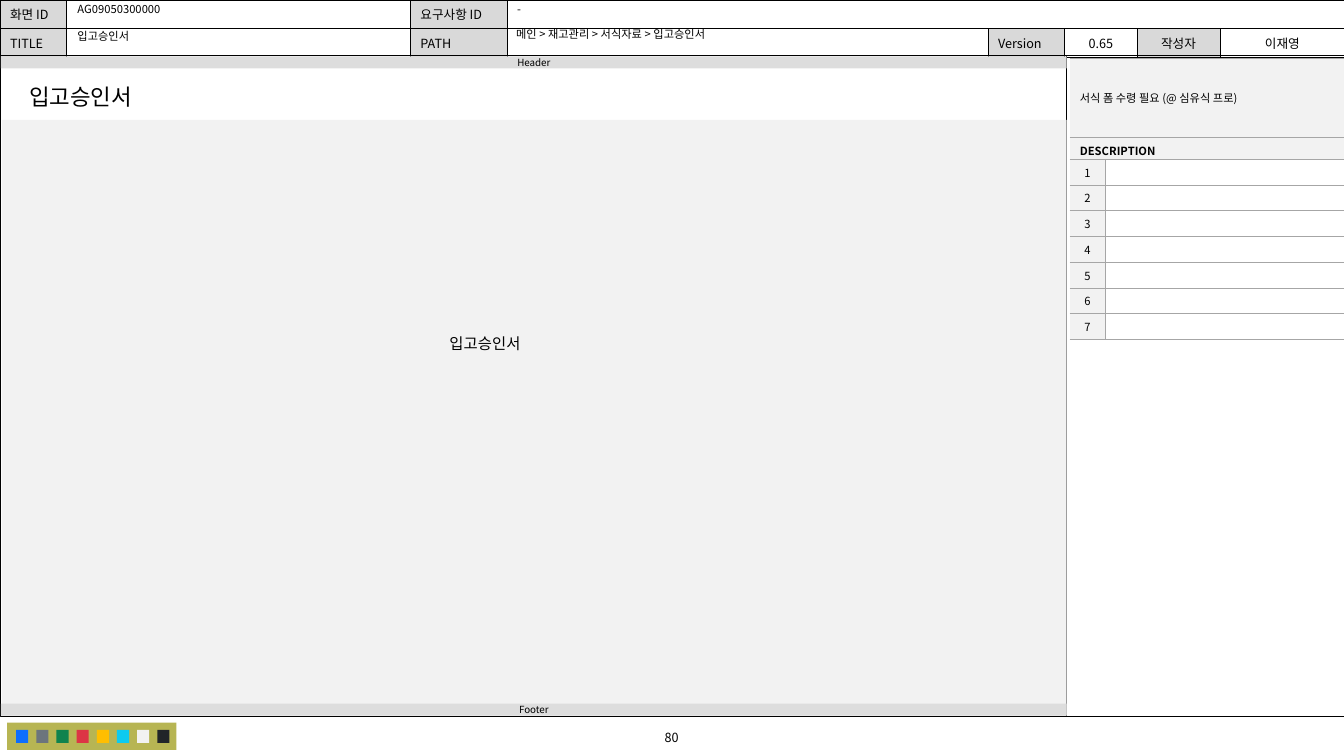
from lxml import etree
from pptx import Presentation
from pptx.dml.color import RGBColor
from pptx.enum.shapes import MSO_CONNECTOR, MSO_SHAPE
from pptx.enum.text import MSO_ANCHOR, PP_ALIGN
from pptx.oxml.ns import qn
from pptx.util import Inches, Pt

LEFT, CENTER = PP_ALIGN.LEFT, PP_ALIGN.CENTER
TOP, MIDDLE = MSO_ANCHOR.TOP, MSO_ANCHOR.MIDDLE
RECT, STRAIGHT = MSO_SHAPE.RECTANGLE, MSO_CONNECTOR.STRAIGHT
FONT = "Noto Sans CJK KR"
COLORS = {
    "black": "000000", "white": "FFFFFF", "label": "D9D9D9", "bar": "DDDDDD",
    "panel": "F2F2F2", "rule": "A6A6A6", "palette": "B7B553",
}
SWATCHES = ["0D6EFD", "6C757D", "10834E", "DC3545", "FFBE00", "0DCAF0", "F2F2F2", "212529"]
INSETS = (0.1, 0.05, 0.1, 0.05)
NO_INSETS = (0, 0, 0, 0)


class Wireframe:
    """Draws styled elements of a screen specification on one slide."""

    def __init__(self, slide):
        self.shapes = slide.shapes

    def color(self, name):
        return RGBColor.from_string(COLORS.get(name, name))

    def add_text(self, tf, text, size, align=LEFT, bold=False):
        p = tf.paragraphs[0]
        p.alignment = align
        r = p.add_run()
        r.text = text
        r.font.size = Pt(size)
        r.font.name = FONT
        r.font.bold = bold
        r.font.color.rgb = self.color("black")
        etree.SubElement(r.font._element, qn("a:ea"), typeface=FONT)
        return p

    def margins(self, target, insets):
        (target.margin_left, target.margin_top,
         target.margin_right, target.margin_bottom) = map(Inches, insets)

    def rect(self, x, y, w, h, fill=None, line=None, text=None):
        sp = self.shapes.add_shape(RECT, *map(Inches, (x, y, w, h)))
        sp.shadow.inherit = False
        if fill:
            sp.fill.solid()
            sp.fill.fore_color.rgb = self.color(fill)
        else:
            sp.fill.background()
        if line:
            sp.line.color.rgb = self.color(line)
            sp.line.width = Pt(0.25)
        else:
            sp.line.fill.background()
        if text:
            tf = sp.text_frame
            self.margins(tf, NO_INSETS)
            tf.vertical_anchor = MIDDLE
            self.add_text(tf, text, 7, CENTER)

    def text(self, x, y, w, h, text, size, align=LEFT, wrap=True, insets=INSETS, spacing=None):
        tf = self.shapes.add_textbox(*map(Inches, (x, y, w, h))).text_frame
        tf.word_wrap = wrap
        self.margins(tf, insets)
        p = self.add_text(tf, text, size, align)
        if spacing:
            p.line_spacing = spacing

    def line(self, x1, y1, x2, y2):
        cn = self.shapes.add_connector(STRAIGHT, *map(Inches, (x1, y1, x2, y2)))
        cn.line.color.rgb = self.color("black")
        cn.line.width = Pt(0.5)
        etree.SubElement(cn._element.spPr, qn("a:effectLst"))

    def table(self, x, y, cols, rows):
        frame = self.shapes.add_table(
            len(rows), len(cols), *map(Inches, (x, y, sum(cols), sum(rows))))
        tbl = frame.table
        tbl.first_row = tbl.horz_banding = False
        for col, width in zip(tbl.columns, cols):
            col.width = Inches(width)
        for row, height in zip(tbl.rows, rows):
            row.height = Inches(height)
        return tbl

    def cell(self, cell, text, size, fill, border, sides="LRTB",
             align=LEFT, anchor=TOP, insets=INSETS, bold=False):
        self.margins(cell, insets)
        cell.vertical_anchor = anchor
        tcPr = cell._tc.get_or_add_tcPr()
        for side in "LRTB":
            ln = etree.SubElement(tcPr, qn(f"a:ln{side}"), w=str(Pt(0.5)))
            if side in sides:
                solid = etree.SubElement(ln, qn("a:solidFill"))
                etree.SubElement(solid, qn("a:srgbClr"), val=COLORS[border])
            else:
                etree.SubElement(ln, qn("a:noFill"))
        cell.fill.solid()
        cell.fill.fore_color.rgb = self.color(fill)
        if text:
            self.add_text(cell.text_frame, text, size, align, bold)
        else:
            p = cell.text_frame.paragraphs[0]
            etree.SubElement(p._p, qn("a:endParaRPr"), sz=str(size * 100))


def add_info_table(s):
    """Add the screen information table at the top."""
    rows = [
        ["화면 ID", "", "요구사항 ID", "", "", "", "", ""],
        ["TITLE", "", "PATH", "", "Version", "0.65", "작성자", "이재영"],
    ]
    cols = [0.66, 3.41, 0.96, 4.77, 0.76, 0.72, 0.82, 1.24]
    tbl = s.table(0, 0, cols, [0.28] * len(rows))
    tbl.cell(0, 3).merge(tbl.cell(0, 7))
    for i, row in enumerate(rows):
        for j, text in enumerate(row):
            fill = "label" if text and j % 2 == 0 else "white"
            s.cell(tbl.cell(i, j), text, 9, fill, "black", align=CENTER if j > 4 else LEFT)


def add_description_table(s):
    """Add the note and the numbered description rows."""
    count, note, head = 7, 0.78, 0.22
    step = (2.79 - note - head) / count
    tbl = s.table(10.61, 0.58, [0.35, 2.37], [note, head] + [step] * count)
    titles = [("서식 폼 수령 필요 (@ 심유식 프로)", INSETS, False),
              ("DESCRIPTION", (0.1, 0.05, 0.1, 0), True)]
    for i, (text, insets, bold) in enumerate(titles):
        tbl.cell(i, 0).merge(tbl.cell(i, 1))
        for j, value in enumerate([text, ""]):
            s.cell(tbl.cell(i, j), value, 8, "panel", "rule", "TB",
                   anchor=MIDDLE, insets=insets, bold=bold)
    for n in range(1, count + 1):
        s.cell(tbl.cell(n + 1, 0), str(n), 8, "panel", "rule", "RTB", CENTER, MIDDLE, NO_INSETS)
        s.cell(tbl.cell(n + 1, 1), "", 8, "white", "rule", "LTB", insets=NO_INSETS)


def main():
    """Build the slide and save it."""
    prs = Presentation()
    prs.slide_width, prs.slide_height = Inches(13.33), Inches(7.5)
    s = Wireframe(prs.slides.add_slide(prs.slide_layouts[6]))

    add_info_table(s)
    s.rect(0, 0.55, 13.33, 6.56, line="black")
    s.text(5.37, 7.19, 2.58, 0.25, "80", 9, CENTER)
    s.line(10.58, 0.56, 10.58, 7.11)

    s.rect(0.07, 7.17, 1.68, 0.27, "palette")
    for i, swatch in enumerate(SWATCHES):
        s.rect(0.16 + 0.2 * i, 7.24, 0.12, 0.13, swatch)

    s.rect(0.02, 1.19, 10.56, 5.91, "panel")
    for y, name in [(6.98, "Footer"), (0.56, "Header")]:
        s.rect(0.01, y, 10.57, 0.12, "bar", text=name)

    values = [
        (5.03, 0.01, 8.29, 0.23, "-"),
        (0.67, 0.01, 3.4, 0.23, "AG09050300000"),
        (0.67, 0.28, 3.38, 0.2, "입고승인서"),
        (5.02, 0.26, 4.74, 0.23, "메인 > 재고관리 > 서식자료 > 입고승인서"),
    ]
    for value in values:
        s.text(*value, 8, insets=(0.1, 0.03, 0.1, 0.03), spacing=0.9)

    s.text(4.36, 3.27, 0.97, 0.29, "입고승인서", 11, wrap=False)
    s.text(0.19, 0.78, 1.32, 0.37, "입고승인서", 16, wrap=False)
    add_description_table(s)
    prs.save("out.pptx")


if __name__ == "__main__":
    main()
